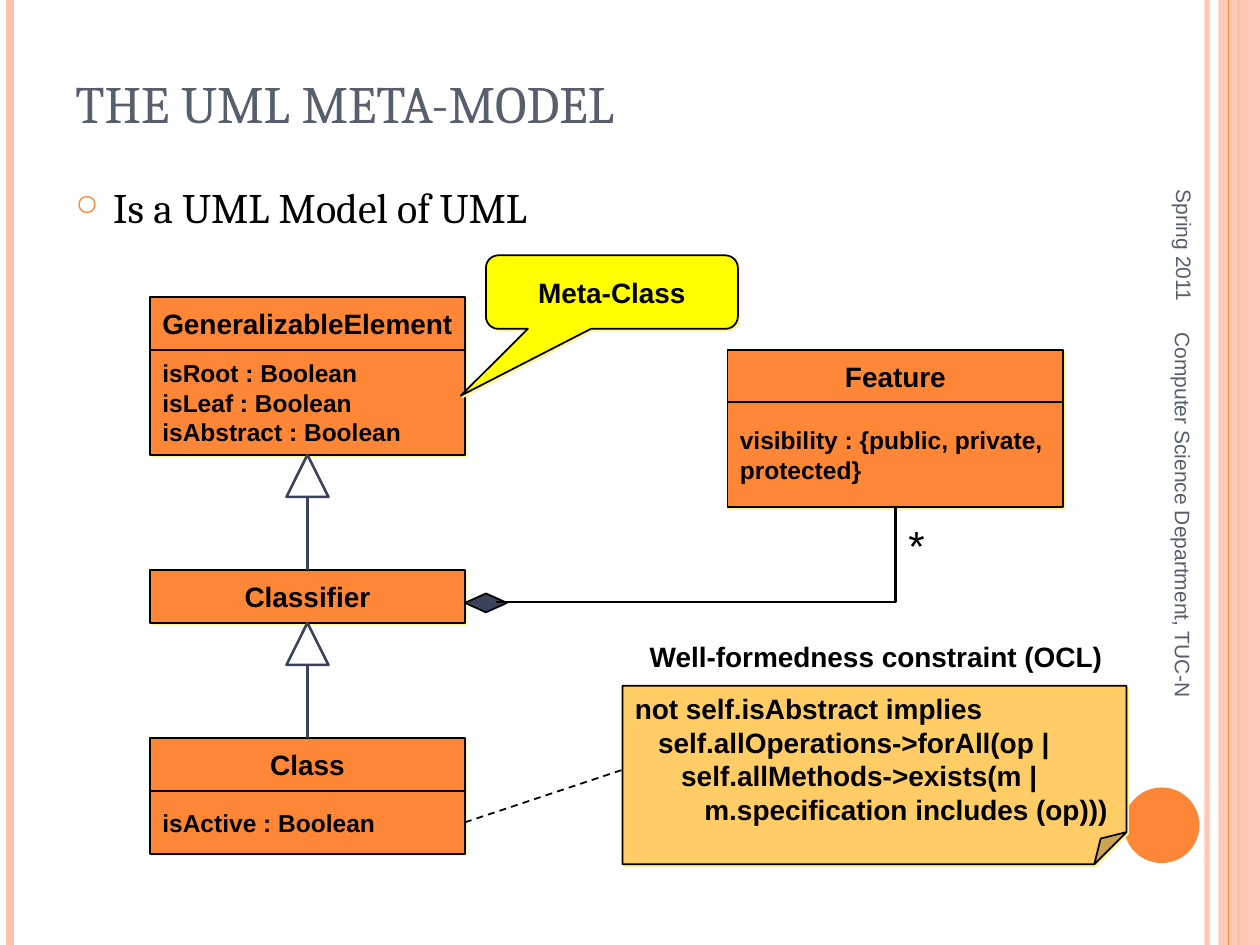
"""Build a slide showing a UML meta-model class diagram with an OCL note."""
from lxml.etree import SubElement
from pptx import Presentation
from pptx.dml.color import RGBColor
from pptx.enum.dml import MSO_LINE
from pptx.enum.shapes import MSO_CONNECTOR, MSO_SHAPE as SHP
from pptx.enum.text import MSO_ANCHOR as ANC, PP_ALIGN as AL
from pptx.oxml.ns import qn
from pptx.util import Inches, Pt

THEME = {
    "serif": "Cambria", "sans": "Arial",
    "title": 30, "body": 24, "head": 16, "attr": 14, "side": 12,
    "ink": "000000", "slate": "575F6D", "navy": "3B435B", "white": "FFFFFF",
    "orange": "FE8637", "peach": "FEC3AE", "yellow": "FFFF00",
    "note": "FFCC66", "glow": "FFF39D",
}
W, H = 10, 7.5
CELL, LEFT, TOP = 1 / 12, 1.19, 2.36
HEAD_ROWS = 5

TITLE = "THE UML META-MODEL"
BULLET = "Is a UML Model of UML"
SIDE_TEXTS = [
    ("Spring 2011", (8.3, 1.18, 2.2, 0.42), AL.RIGHT),
    ("Computer Science Department, TUC-N", (7.64, 4.09, 3.5, 0.4), AL.LEFT),
]
BACK_RULES = [(9.58, 3, "peach", 93), (0.08, 4.5, "peach", 100), (9.83, 1.5, "orange", 100)]
FRONT_RULES = [(9.75, 0.75, "orange", 100)]
CLASSES = [
    ("GeneralizableElement", ["isRoot : Boolean", "isLeaf : Boolean", "isAbstract : Boolean"],
     0, 0, 30, 10),
    ("Class", ["isActive : Boolean"], 0, 42, 30, 6),
    ("Classifier", [], 0, 26, 30, 0),
    ("Feature", ["visibility : {public, private,", "protected}"], 55, 5, 32, 10),
]
GENERALIZATIONS = [(15, 15, 26), (15, 31, 42)]
COMPOSITION = [(33, 29), (71, 29), (71, 20)]
OCL = "\v".join([
    "not self.isAbstract implies ",
    "   self.allOperations->forAll(op | ",
    "      self.allMethods->exists(m | ",
    "         m.specification includes (op)))",
])


def rgb(name):
    return RGBColor.from_string(THEME[name])


def grid(col, row, cols, rows):
    return LEFT + col * CELL, TOP + row * CELL, cols * CELL, rows * CELL


def point(col, row):
    return grid(col, row, 0, 0)[:2]


def set_alpha(fill_parent, percent):
    for clr in fill_parent.iter(qn("a:srgbClr")):
        SubElement(clr, qn("a:alpha"), val=str(percent * 1000))


def add_glow(sp):
    effects = sp._element.spPr.find(qn("a:effectLst"))
    shadow = SubElement(effects, qn("a:outerShdw"), dist=str(Pt(1.4)), dir="2700000",
                        algn="ctr", rotWithShape="0")
    SubElement(shadow, qn("a:srgbClr"), val=THEME["glow"])


def set_guides(sp, guides):
    geometry = sp._element.spPr.find(qn("a:prstGeom"))
    for old in geometry.findall(qn("a:avLst")):
        geometry.remove(old)
    values = SubElement(geometry, qn("a:avLst"))
    for name, share in guides.items():
        SubElement(values, qn("a:gd"), name=name, fmla=f"val {round(share * 100000)}")


def write(sp, text, size="head", font="sans", color="ink", bold=False,
          align=AL.LEFT, anchor=ANC.MIDDLE, wrap=False):
    tf = sp.text_frame
    tf.word_wrap, tf.vertical_anchor = wrap, anchor
    tf.text = text
    for p in tf.paragraphs:
        p.alignment = align
        for r in p.runs:
            r.font.name, r.font.size, r.font.bold = THEME[font], Pt(THEME[size]), bold
            r.font.color.rgb = rgb(color)
    return tf


def textbox(s, box, text, rotation=0, **fmt):
    sp = s.shapes.add_textbox(*map(Inches, box))
    sp.rotation = rotation
    return write(sp, text, **fmt)


def shape(s, kind, box, fill, line="ink", width=1, glow=False, guides=None):
    sp = s.shapes.add_shape(kind, *map(Inches, box))
    if guides:
        set_guides(sp, guides)
    sp.fill.solid()
    sp.fill.fore_color.rgb = rgb(fill)
    if line:
        sp.line.color.rgb, sp.line.width = rgb(line), Pt(width)
    else:
        sp.line.fill.background()
    sp.shadow.inherit = False
    if glow:
        add_glow(sp)
    return sp


def line(s, start, end, color="ink", width=1.0, alpha=100, dash=None):
    cx = s.shapes.add_connector(MSO_CONNECTOR.STRAIGHT, *map(Inches, (*start, *end)))
    cx.line.color.rgb, cx.line.width = rgb(color), Pt(width)
    if dash:
        cx.line.dash_style = dash
    if alpha < 100:
        set_alpha(cx._element.spPr, alpha)
    SubElement(cx._element.spPr, qn("a:effectLst"))


def rules(s, items):
    for x, width, color, alpha in items:
        line(s, (x, 0), (x, H), color, width, alpha)


def backdrop(s):
    rules(s, BACK_RULES)
    band = shape(s, SHP.RECTANGLE, (9.67, 0, 0.33, H), "peach", line=None)
    set_alpha(band._element.spPr, 87)
    rules(s, FRONT_RULES)
    shape(s, SHP.OVAL, (8.92, 6.25, 0.6, 0.6), "orange", line=None)


def headings(s):
    tf = textbox(s, (0.5, 0.3, 8.17, 1.25), TITLE, size="title", font="serif",
                 color="slate", anchor=ANC.BOTTOM, wrap=True)
    tf.margin_bottom = Inches(0.49)
    tf = textbox(s, (0.5, 1.39, 9, 0.8), BULLET, size="body", font="serif",
                 anchor=ANC.TOP, wrap=True)
    ppr = tf.paragraphs[0]._p.get_or_add_pPr()
    ppr.set("marL", str(Inches(0.3)))
    ppr.set("indent", str(Inches(-0.3)))
    SubElement(SubElement(ppr, qn("a:buClr")), qn("a:srgbClr"), val=THEME["orange"])
    SubElement(ppr, qn("a:buSzPct"), val="70000")
    SubElement(ppr, qn("a:buChar"), char="○")
    for text, box, align in SIDE_TEXTS:
        textbox(s, box, text, rotation=90, size="side", color="slate", align=align, wrap=True)


def uml_class(s, name, attributes, col, row, cols, rows):
    head = shape(s, SHP.RECTANGLE, grid(col, row, cols, HEAD_ROWS), "orange", glow=True)
    write(head, name, bold=True, align=AL.CENTER)
    if attributes:
        body = shape(s, SHP.RECTANGLE, grid(col, row + HEAD_ROWS, cols, rows), "orange", glow=True)
        write(body, "\n".join(attributes), size="attr", bold=True)


def generalization(s, col, top, bottom):
    shape(s, SHP.ISOSCELES_TRIANGLE, grid(col - 2, top, 4, 4), "white", "navy", 1.5)
    line(s, point(col, top + 4), point(col, bottom), "navy", 1.5)


def composition(s):
    shape(s, SHP.DIAMOND, grid(30, 28.2, 4, 1.8), "navy")
    start, *rest = [tuple(map(Inches, point(*node))) for node in COMPOSITION]
    builder = s.shapes.build_freeform(*start)
    builder.add_line_segments(rest, close=False)
    sp = builder.convert_to_shape()
    sp.fill.background()
    sp.line.color.rgb, sp.line.width = rgb("ink"), Pt(1.5)
    sp.shadow.inherit = False
    textbox(s, grid(71, 20.6, 4, 6), "*", size="body", align=AL.CENTER)


def constraint(s):
    note = shape(s, SHP.FOLDED_CORNER, grid(45, 37, 48, 17), "note", glow=True,
                 guides={"adj": 0.18})
    write(note, OCL, bold=True)
    line(s, point(30, 50), point(45, 45), dash=MSO_LINE.DASH)
    textbox(s, grid(46.4, 32, 45.5, 4.4), "Well-formedness constraint (OCL)",
            bold=True, align=AL.CENTER)


def main():
    prs = Presentation()
    prs.slide_width, prs.slide_height = Inches(W), Inches(H)
    s = prs.slides.add_slide(prs.slide_layouts[6])
    backdrop(s)
    headings(s)
    for item in CLASSES:
        uml_class(s, *item)
    for item in GENERALIZATIONS:
        generalization(s, *item)
    composition(s)
    constraint(s)
    callout = shape(s, SHP.ROUNDED_RECTANGULAR_CALLOUT, grid(32, -4, 24, 7), "yellow",
                    glow=True, guides={"adj1": -0.6, "adj2": 1.41, "adj3": 0.17})
    write(callout, "Meta-Class", bold=True, align=AL.CENTER)
    prs.save("out.pptx")


if __name__ == "__main__":
    main()
